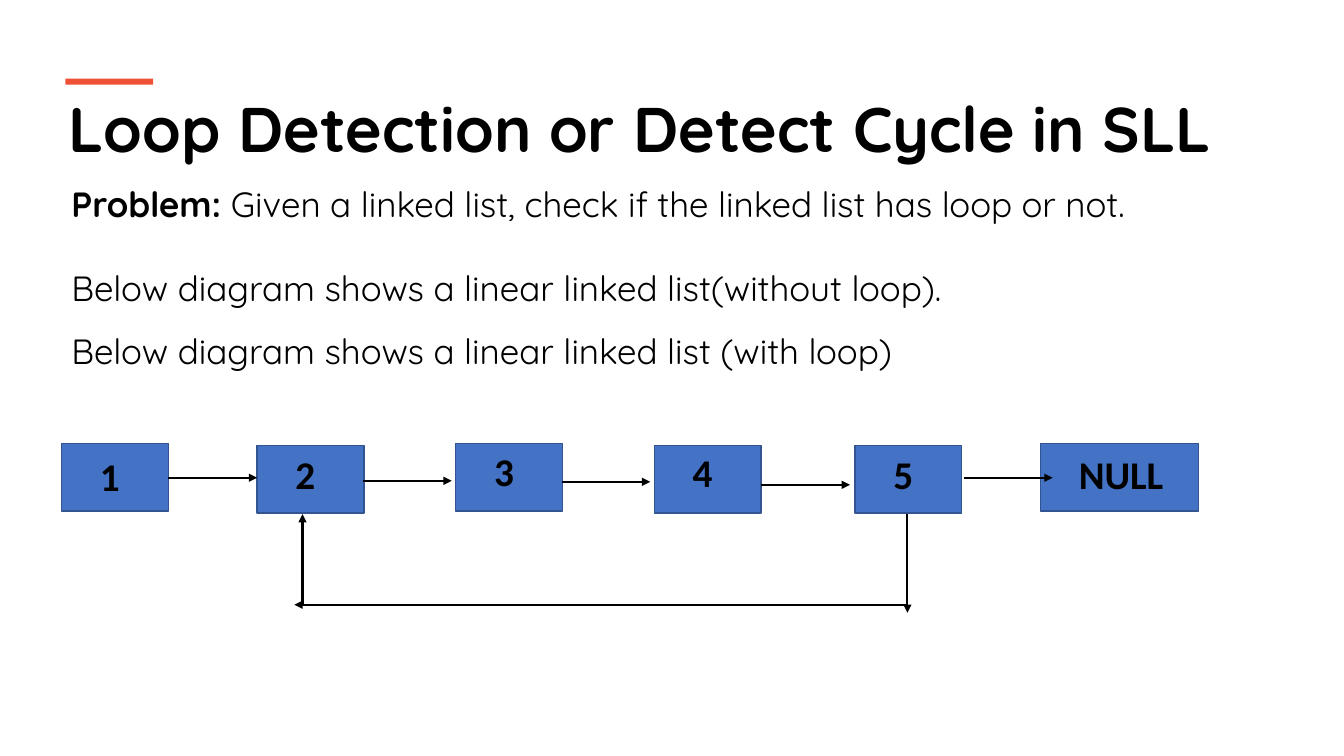
from pptx import Presentation
from pptx.dml.color import RGBColor
from pptx.enum import shapes, text
from pptx.oxml import ns
from pptx.util import Inches, Pt
from lxml import etree

HUES = {"ink": "000000", "accent": "F05136", "node": "4472C4", "edge": "325491"}
NODES = [
    ("1", 0.61, 4.4, 4.44),
    ("2", 2.55, 4.42, 4.42),
    ("3", 4.52, 4.4, 4.39),
    ("4", 6.49, 4.42, 4.4),
    ("5", 8.48, 4.42, 4.42),
    ("NULL", 10.32, 4.4, 4.42),
]
LINKS = [(1.67, 4.74), (3.6, 4.77), (5.57, 4.78), (7.55, 4.81), (9.56, 4.74)]
LOOP = [((9, 5.1), (9, 6.08)), ((9, 6), (2.92, 6)), ((3, 6), (3, 5.1))]


def hue(name):
    return RGBColor.from_string(HUES[name])


def add_text(slide, spot, paras, size, face, inset=0.1):
    """Add a text box; each paragraph is a list of (words, bold) runs."""
    box = slide.shapes.add_textbox(*map(Inches, spot))
    frame = box.text_frame
    frame.word_wrap = True
    frame.margin_left = Inches(inset)
    frame.vertical_anchor = text.MSO_ANCHOR.TOP
    for i, runs in enumerate(paras):
        para = frame.paragraphs[0] if i == 0 else frame.add_paragraph()
        for words, bold in runs:
            run = para.add_run()
            run.text = words
            run.font.name = face
            run.font.size = Pt(size)
            run.font.bold = bold
            run.font.color.rgb = hue("ink")
    return frame


def add_rect(slide, spot, fill, edge=None):
    """Add a flat rectangle, outlined when an edge colour is given."""
    rect = slide.shapes.add_shape(shapes.MSO_SHAPE.RECTANGLE, *map(Inches, spot))
    rect.shadow.inherit = False
    rect.fill.solid()
    rect.fill.fore_color.rgb = hue(fill)
    if edge:
        rect.line.color.rgb = hue(edge)
        rect.line.width = Pt(1)
    else:
        rect.line.fill.background()


def add_arrow(slide, start, end):
    """Add a straight arrow with its head at the end point."""
    line = slide.shapes.add_connector(
        shapes.MSO_CONNECTOR.STRAIGHT, *map(Inches, (*start, *end)))
    line.line.color.rgb = hue("ink")
    line.line.width = Pt(1.5)
    etree.SubElement(line.line._get_or_add_ln(), ns.qn("a:tailEnd"), type="triangle")
    etree.SubElement(line._element.spPr, ns.qn("a:effectLst"))


def add_node(slide, label, left, top, rise):
    """Add a list node and its label, whose box starts at height rise."""
    wide = label == "NULL"
    add_rect(slide, (left, top, 1.57 if wide else 1.06, 0.67), "node", "edge")
    spot = (left + 0.02, rise, 1.44 if wide else 0.8, 0.57)
    add_text(slide, spot, [[(label, True)]], 28, "Calibri", 0.36)


def main():
    """Build the slide and save it."""
    deck = Presentation()
    deck.slide_width, deck.slide_height = Inches(13.33), Inches(7.5)
    slide = deck.slides.add_slide(deck.slide_layouts[6])

    title = "Loop Detection or Detect Cycle in SLL"
    add_text(slide, (0.58, 0.84, 12.18, 0.86), [[(title, True)]], 45, "Quicksand")
    add_rect(slide, (0.65, 0.78, 0.87, 0.06), "accent")

    body = add_text(slide, (0.61, 1.76, 12.14, 4.47), [
        [("Problem: ", True),
         ("Given a linked list, check if the linked list has loop or not.", False)],
        [("Below diagram shows a linear linked list(without loop).", False)],
        [("Below diagram shows a linear linked list (with loop)", False)],
    ], 25, "Quicksand")
    body.paragraphs[1].space_before = Pt(30)
    body.paragraphs[2].line_spacing = 1.5

    for node in NODES:
        add_node(slide, *node)
    for x, y in LINKS:
        add_arrow(slide, (x, y), (x + 0.88, y))
    for start, end in LOOP:
        add_arrow(slide, start, end)
    deck.save("out.pptx")


if __name__ == "__main__":
    main()
